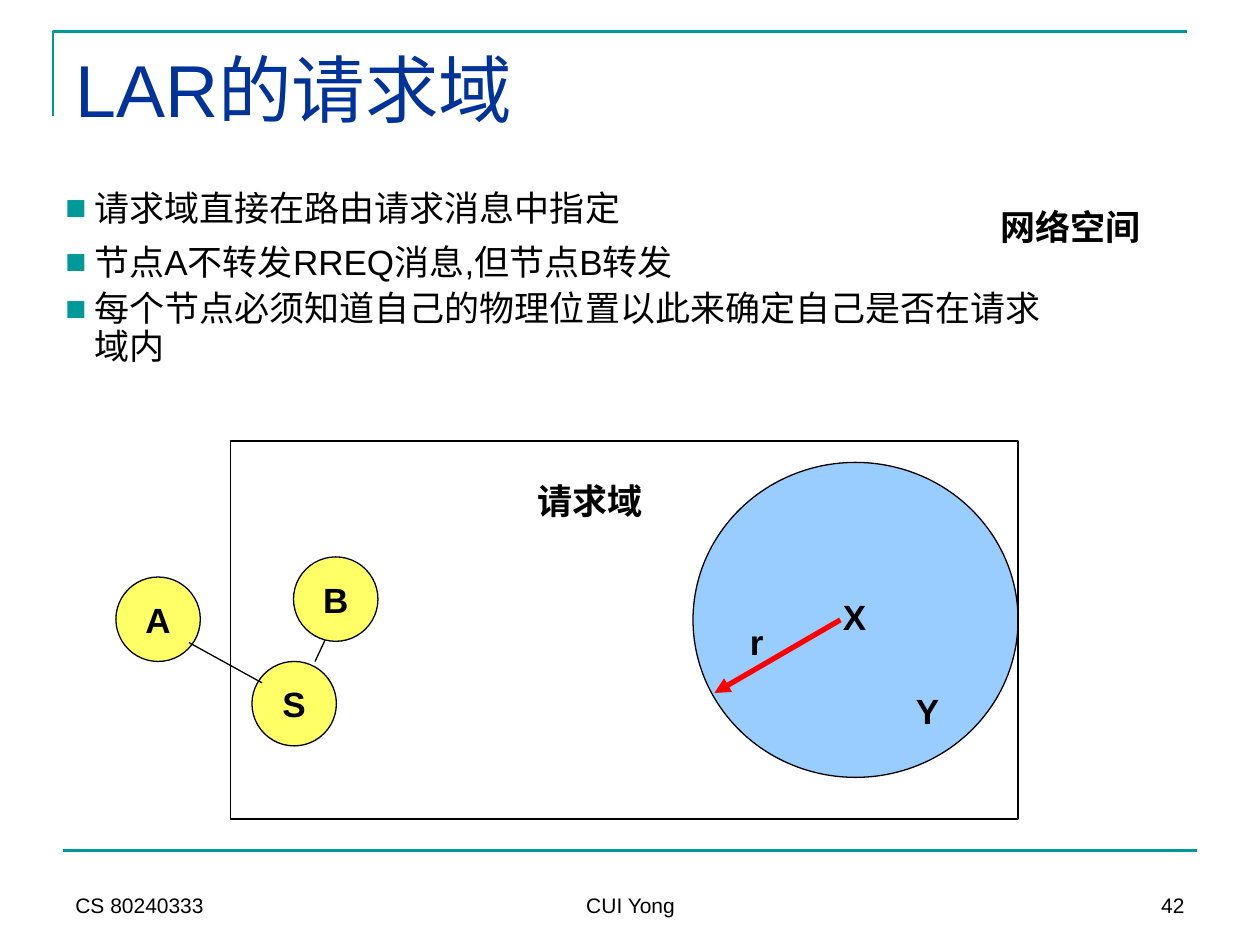
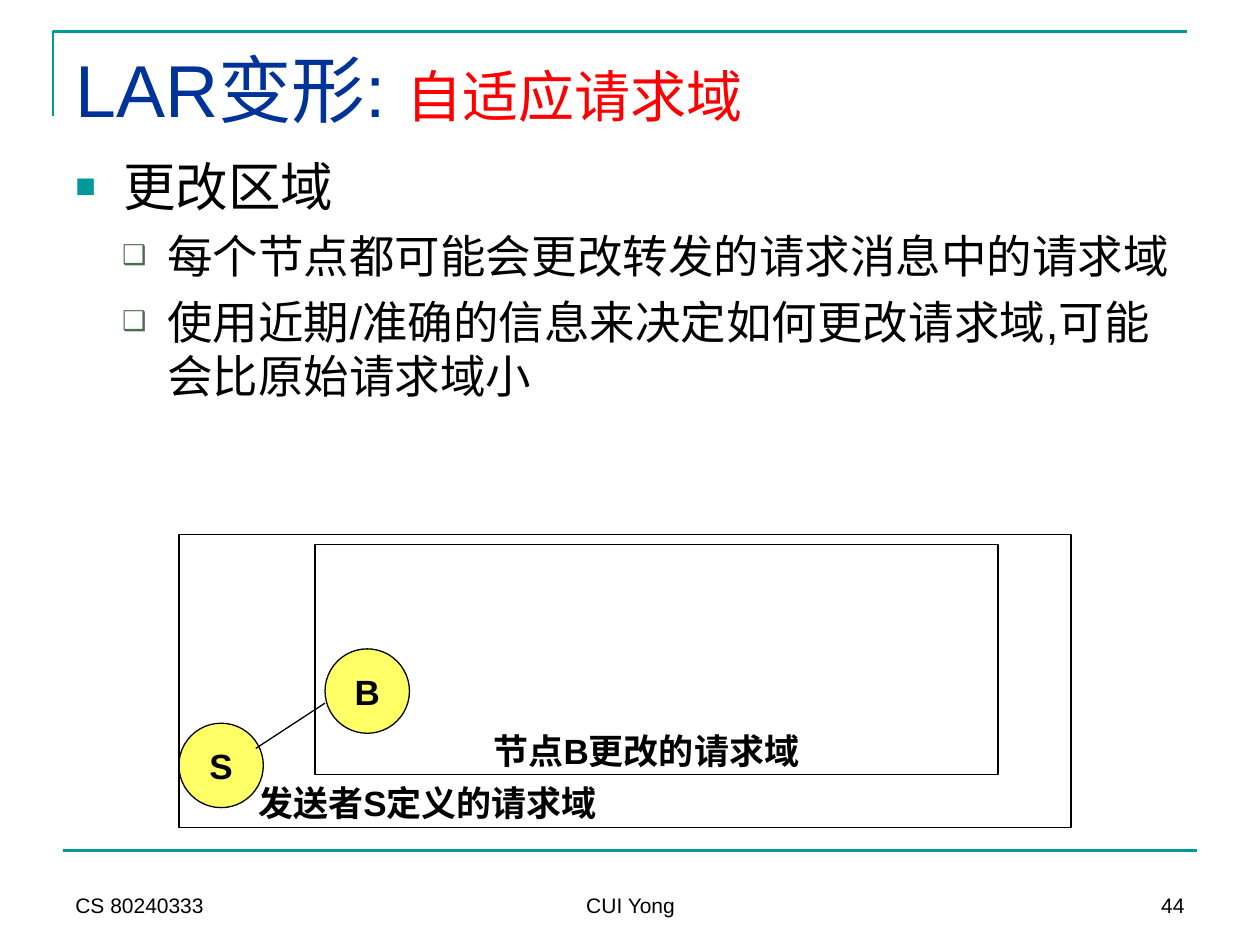
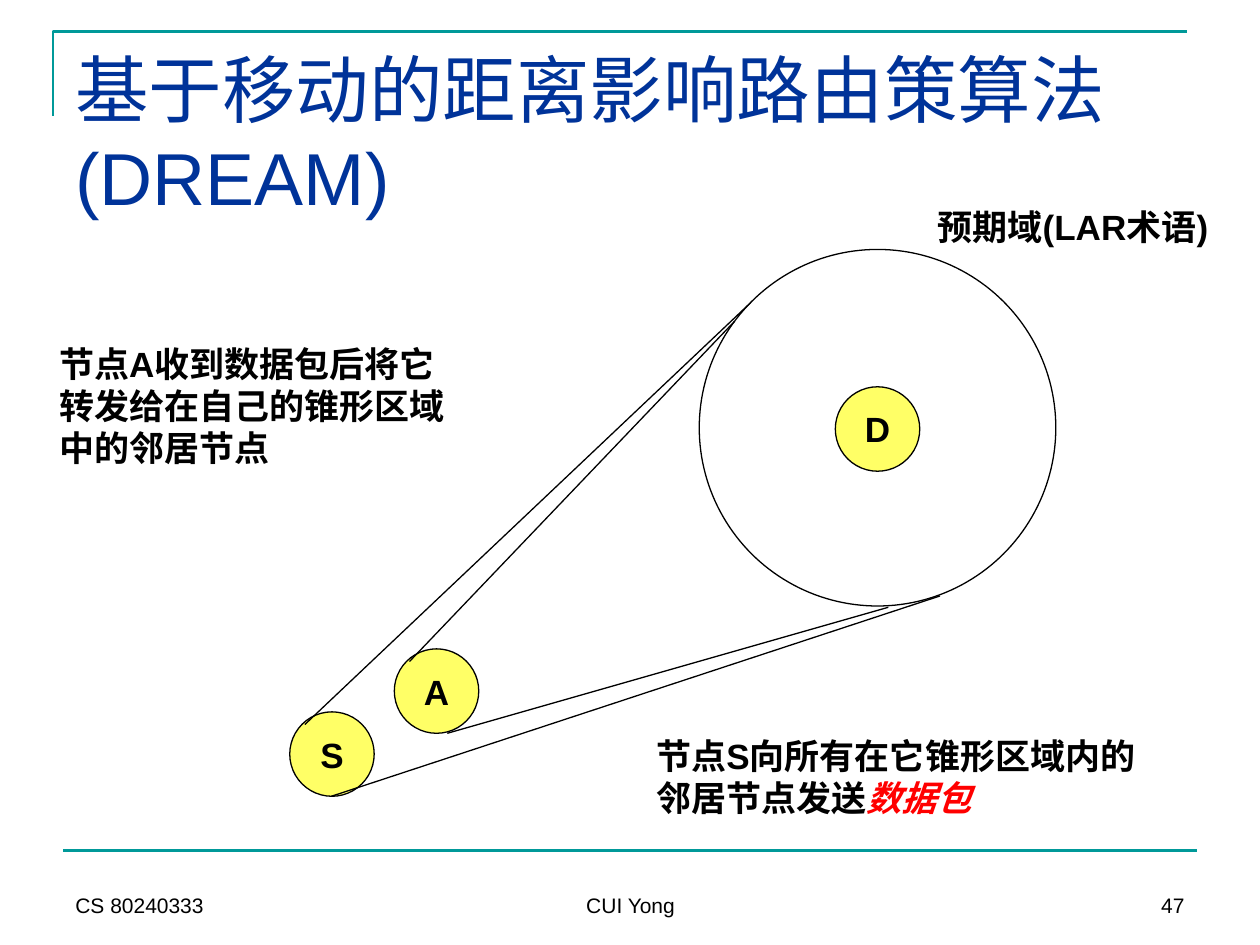
from dataclasses import dataclass
from typing import Sequence

from lxml import etree
from pptx import Presentation
from pptx.dml.color import RGBColor
from pptx.enum import shapes, text
from pptx.oxml import ns
from pptx.util import Inches, Pt


@dataclass(frozen=True)
class Theme:
    font: str = "Arial"
    title: RGBColor = RGBColor(0x00, 0x33, 0x99)
    teal: RGBColor = RGBColor(0x00, 0x99, 0x99)
    moss: RGBColor = RGBColor(0x4C, 0x6D, 0x4E)
    ink: RGBColor = RGBColor(0x00, 0x00, 0x00)
    red: RGBColor = RGBColor(0xFF, 0x00, 0x00)
    node: RGBColor = RGBColor(0xFF, 0xFF, 0x66)
    zone: RGBColor = RGBColor(0x99, 0xCC, 0xFF)
    title_size: float = 42
    subtitle_size: float = 32
    main_size: float = 30
    sub_size: float = 26
    label_size: float = 20
    footer_size: float = 12
    thin: float = 0.75
    rule: float = 1.5
    thick: float = 3


THEME = Theme()
NODE_SIZE = 0.67
LEFT, CENTER, RIGHT = text.PP_ALIGN.LEFT, text.PP_ALIGN.CENTER, text.PP_ALIGN.RIGHT
TOP, MIDDLE, BOTTOM = text.MSO_ANCHOR.TOP, text.MSO_ANCHOR.MIDDLE, text.MSO_ANCHOR.BOTTOM
OVAL, RECTANGLE = shapes.MSO_SHAPE.OVAL, shapes.MSO_SHAPE.RECTANGLE


@dataclass(frozen=True)
class Box:
    left: float
    top: float
    width: float
    height: float

    def lengths(self) -> list:
        return [Inches(side) for side in (self.left, self.top, self.width, self.height)]


@dataclass(frozen=True)
class Style:
    size: float = THEME.label_size
    color: RGBColor = THEME.ink
    bold: bool = False
    align: text.PP_ALIGN = LEFT


@dataclass(frozen=True)
class Accent:
    """A run that departs from its paragraph's style."""
    words: str
    size: float | None = None
    italic: bool | None = None


@dataclass(frozen=True)
class Bullet:
    sign: str
    color: RGBColor
    percent: int
    margin: float
    hang: float


@dataclass(frozen=True)
class Item:
    words: str
    bullet: Bullet
    size: float = THEME.label_size
    line_spacing: float = 1.0
    before: float = 0


@dataclass(frozen=True)
class Node:
    name: str
    left: float
    top: float


@dataclass(frozen=True)
class Label:
    box: Box
    lines: Sequence[Sequence[str | Accent]]
    align: text.PP_ALIGN = CENTER


@dataclass(frozen=True)
class Line:
    x1: float
    y1: float
    x2: float
    y2: float
    color: RGBColor = THEME.ink
    weight: float = THEME.thin
    arrow: bool = False


TITLE = Style(THEME.title_size, THEME.title)
LABEL = Style(bold=True, align=CENTER)
POINT = Bullet("■", THEME.teal, 100, 0.23, 0.23)
MAIN = Bullet("■", THEME.teal, 65, 0.38, 0.38)
SUB = Bullet("❑", THEME.moss, 60, 0.73, 0.36)


def set_font(paragraph, style: Style) -> None:
    paragraph.alignment = style.align
    font = paragraph.font
    font.name, font.size, font.bold = THEME.font, Pt(style.size), style.bold
    font.color.rgb = style.color


def write(frame, lines: Sequence[Sequence[str | Accent]], style: Style) -> None:
    for index, parts in enumerate(lines):
        paragraph = frame.add_paragraph() if index else frame.paragraphs[0]
        set_font(paragraph, style)
        for part in parts:
            run = paragraph.add_run()
            if isinstance(part, Accent):
                run.text = part.words
                run.font.color.rgb = THEME.red
                run.font.italic = part.italic
                if part.size:
                    run.font.size = Pt(part.size)
            else:
                run.text = part


def add_frame(slide, box: Box, anchor: text.MSO_ANCHOR = TOP, wrap: bool = True):
    frame = slide.shapes.add_textbox(*box.lengths()).text_frame
    frame.word_wrap, frame.vertical_anchor = wrap, anchor
    return frame


def add_bullet(paragraph, bullet: Bullet) -> None:
    properties = paragraph._p.get_or_add_pPr()
    properties.set("marL", str(Inches(bullet.margin)))
    properties.set("indent", str(-Inches(bullet.hang)))
    color = etree.SubElement(properties, ns.qn("a:buClr"))
    etree.SubElement(color, ns.qn("a:srgbClr"), val=str(bullet.color))
    etree.SubElement(properties, ns.qn("a:buSzPct"), val=str(bullet.percent * 1000))
    etree.SubElement(properties, ns.qn("a:buFont"), typeface=THEME.font)
    etree.SubElement(properties, ns.qn("a:buChar"), char=bullet.sign)


def add_items(slide, box: Box, items: Sequence[Item]) -> None:
    frame = add_frame(slide, box)
    for index, item in enumerate(items):
        paragraph = frame.add_paragraph() if index else frame.paragraphs[0]
        add_bullet(paragraph, item.bullet)
        paragraph.line_spacing = item.line_spacing
        paragraph.space_before = Pt(item.before)
        set_font(paragraph, Style(item.size))
        paragraph.add_run().text = item.words


def add_outline(slide, kind: shapes.MSO_SHAPE, box: Box, fill: RGBColor | None = None):
    shape = slide.shapes.add_shape(kind, *box.lengths())
    shape.shadow.inherit = False
    shape.line.color.rgb, shape.line.width = THEME.ink, Pt(THEME.thin)
    if fill is None:
        shape.fill.background()
    else:
        shape.fill.solid()
        shape.fill.fore_color.rgb = fill
    return shape


def add_nodes(slide, nodes: Sequence[Node]) -> None:
    for node in nodes:
        box = Box(node.left, node.top, NODE_SIZE, NODE_SIZE)
        frame = add_outline(slide, OVAL, box, THEME.node).text_frame
        frame.word_wrap, frame.vertical_anchor = False, MIDDLE
        write(frame, [[node.name]], LABEL)


def add_labels(slide, labels: Sequence[Label]) -> None:
    for label in labels:
        frame = add_frame(slide, label.box, MIDDLE, wrap=False)
        frame.auto_size = text.MSO_AUTO_SIZE.SHAPE_TO_FIT_TEXT
        write(frame, label.lines, Style(bold=True, align=label.align))


def add_lines(slide, lines: Sequence[Line]) -> None:
    for line in lines:
        ends = [Inches(value) for value in (line.x1, line.y1, line.x2, line.y2)]
        connector = slide.shapes.add_connector(shapes.MSO_CONNECTOR.STRAIGHT, *ends)
        connector.line.color.rgb, connector.line.width = line.color, Pt(line.weight)
        if line.arrow:
            etree.SubElement(connector.line._get_or_add_ln(), ns.qn("a:tailEnd"), type="triangle")
        etree.SubElement(connector._element.spPr, ns.qn("a:effectLst"))


def add_page(presentation, title: Sequence[str | Accent], number: int, title_width: float = 9):
    """Add a slide with the corner bracket, footer and title."""
    slide = presentation.slides.add_slide(presentation.slide_layouts[6])
    builder = slide.shapes.build_freeform(Inches(0.42), Inches(0.92))
    corner = [(Inches(0.42), Inches(0.25)), (Inches(9.42), Inches(0.25))]
    builder.add_line_segments(corner, close=False)
    bracket = builder.convert_to_shape()
    bracket.shadow.inherit = False
    bracket.fill.background()
    bracket.line.color.rgb, bracket.line.width = THEME.teal, Pt(THEME.rule)
    add_lines(slide, [Line(0.5, 6.75, 9.5, 6.75, THEME.teal, THEME.rule)])
    for words, left, width, align in (
        ("CS 80240333", 0.5, 2.33, LEFT),
        ("CUI Yong", 3.42, 3.17, CENTER),
        (str(number), 7.17, 2.33, RIGHT),
    ):
        frame = add_frame(slide, Box(left, 6.83, width, 0.5), BOTTOM)
        write(frame, [[words]], Style(THEME.footer_size, align=align))
    write(add_frame(slide, Box(0.5, 0.3, title_width, 1.25)), [title], TITLE)
    return slide


def add_request_zone(presentation) -> None:
    slide = add_page(presentation, ["LAR的请求域"], 42)
    add_outline(slide, OVAL, Box(5.5, 3.67, 2.58, 2.5), THEME.zone)
    add_outline(slide, RECTANGLE, Box(1.83, 3.5, 6.25, 3))
    add_lines(slide, [Line(6.67, 4.92, 5.67, 5.5, THEME.red, THEME.thick, arrow=True)])
    add_labels(slide, [
        Label(Box(6.59, 4.67, 0.38, 0.44), [["X"]]),
        Label(Box(7.17, 5.42, 0.38, 0.44), [["Y"]]),
        Label(Box(5.85, 4.87, 0.31, 0.44), [["r"]]),
        Label(Box(4.13, 3.75, 1.11, 0.44), [["请求域"]]),
        Label(Box(7.8, 1.58, 1.39, 0.44), [["网络空间"]]),
    ])
    add_nodes(slide, [Node("S", 2, 5.25), Node("B", 2.33, 4.42), Node("A", 0.92, 4.58)])
    add_lines(slide, [Line(1.5, 5.1, 2.08, 5.42), Line(2.58, 5.08, 2.5, 5.25)])
    add_items(slide, Box(0.42, 1.33, 8.17, 2.07), [
        Item("请求域直接在路由请求消息中指定", POINT, line_spacing=1.3),
        Item("节点A不转发RREQ消息,但节点B转发", POINT, line_spacing=1.3),
        Item("每个节点必须知道自己的物理位置以此来确定自己是否在请求域内", POINT,
             line_spacing=0.9, before=5),
    ])


def add_adaptive_zone(presentation) -> None:
    title = ["LAR变形: ", Accent("自适应请求域", THEME.subtitle_size)]
    slide = add_page(presentation, title, 44, title_width=9.67)
    add_items(slide, Box(0.5, 1.17, 8.92, 2.92), [
        Item("更改区域", MAIN, THEME.main_size),
        Item("每个节点都可能会更改转发的请求消息中的请求域", SUB, THEME.sub_size, before=6.5),
        Item("使用近期/准确的信息来决定如何更改请求域,可能会比原始请求域小", SUB,
             THEME.sub_size, before=6.5),
    ])
    add_nodes(slide, [Node("S", 1.42, 5.74), Node("B", 2.58, 5.15)])
    add_outline(slide, RECTANGLE, Box(1.42, 4.24, 7.08, 2.33))
    add_lines(slide, [Line(2.03, 5.94, 2.58, 5.58)])
    add_outline(slide, RECTANGLE, Box(2.5, 4.32, 5.42, 1.83))
    add_labels(slide, [
        Label(Box(3.71, 5.74, 2.84, 0.44), [["节点B更改的请求域"]]),
        Label(Box(1.95, 6.15, 3.12, 0.44), [["发送者S定义的请求域"]], LEFT),
    ])


def add_dream(presentation) -> None:
    slide = add_page(presentation, ["基于移动的距离影响路由策算法 (DREAM)"], 47)
    add_outline(slide, OVAL, Box(5.55, 1.98, 2.83, 2.83))
    add_nodes(slide, [Node("S", 2.3, 5.65), Node("D", 6.63, 3.07), Node("A", 3.13, 5.15)])
    add_lines(slide, [
        Line(2.63, 6.32, 7.46, 4.73),
        Line(2.42, 5.75, 5.96, 2.4),
        Line(3.25, 5.25, 5.83, 2.55),
        Line(3.55, 5.82, 7.05, 4.82),
    ])
    add_labels(slide, [
        Label(Box(7.2, 1.58, 2.63, 0.44), [["预期域(LAR术语)"]]),
        Label(Box(0.37, 2.67, 3.42, 1.1),
              [["节点A收到数据包后将它"], ["转发给在自己的锥形区域"], ["中的邻居节点"]], LEFT),
        Label(Box(5.11, 5.78, 4.24, 0.77),
              [["节点S向所有在它锥形区域内的"],
               ["邻居节点发送", Accent("数据包", italic=True)]], LEFT),
    ])


def main() -> None:
    presentation = Presentation()
    presentation.slide_width, presentation.slide_height = Inches(10), Inches(7.5)
    add_request_zone(presentation)
    add_adaptive_zone(presentation)
    add_dream(presentation)
    presentation.save("out.pptx")


if __name__ == "__main__":
    main()
